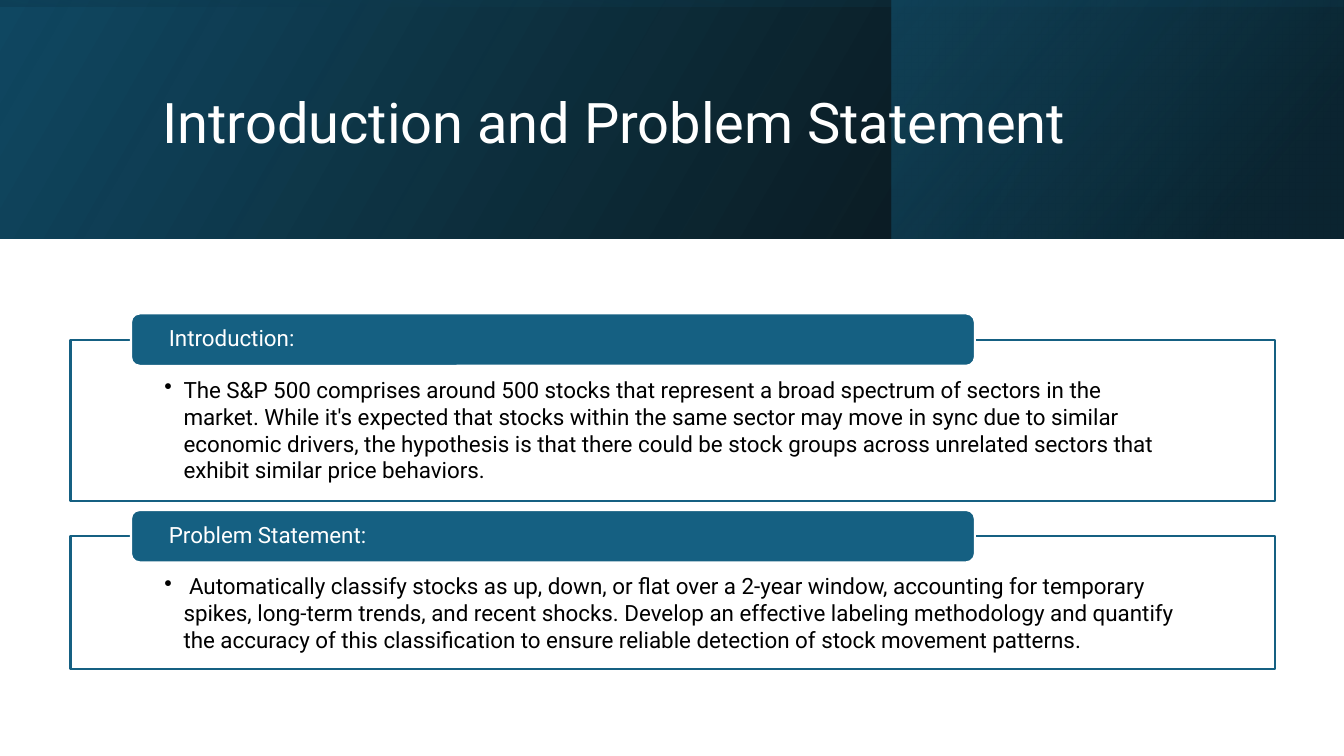
from pptx import Presentation
from pptx.dml.color import RGBColor
from pptx.enum.shapes import MSO_SHAPE as Preset
from pptx.enum.text import MSO_ANCHOR as Anchor, PP_ALIGN as Align
from pptx.oxml.ns import qn
from pptx.oxml.xmlchemy import OxmlElement
from pptx.util import Inches, Pt

BLUE, WHITE, BLACK = "156082", "FFFFFF", "000000"


def color(hex_code):
    return RGBColor.from_string(hex_code)


def set_opacity(shape, percents):
    """Give each fill colour of the shape, in order, an opacity in percent."""
    for srgb, percent in zip(shape._element.spPr.iter(qn("a:srgbClr")), percents):
        alpha = OxmlElement("a:alpha")
        alpha.set("val", str(percent * 1000))
        srgb.append(alpha)


class SlideBuilder:
    """Draws on one slide; every length is a percentage of its width or height."""

    font = "Roboto"
    title_size, body_size = 40, 16

    def __init__(self, deck):
        self.deck = deck
        self.slide = deck.slides.add_slide(deck.slide_layouts[5])

    def across(self, percent):
        return round(self.deck.slide_width * percent / 100)

    def down(self, percent):
        return round(self.deck.slide_height * percent / 100)

    def area(self, left, top, width, height):
        return self.across(left), self.down(top), self.across(width), self.down(height)

    def shape(self, preset, area):
        shape = self.slide.shapes.add_shape(preset, *area)
        shape.shadow.inherit = False
        return shape

    def set_text(self, frame, text, size, ink, anchor, line_spacing=None):
        frame.text = text
        frame.word_wrap = True
        frame.vertical_anchor = anchor
        paragraph = frame.paragraphs[0]
        paragraph.alignment = Align.LEFT
        paragraph.line_spacing = line_spacing
        for run in paragraph.runs:
            run.font.name = self.font
            run.font.size = Pt(size)
            run.font.color.rgb = color(ink)
        return paragraph

    def band(self, area, stops, angle, turned=False):
        """Draw a mirrored gradient band; stops are (position, colour, opacity)."""
        left, top, width, height = area
        if turned:
            shift = (width - height) // 2
            area = left + shift, top - shift, height, width
        band = self.shape(Preset.RECTANGLE, area)
        band.rotation = 270 if turned else 0
        band._element.spPr.xfrm.set("flipH", "1")
        band.line.fill.background()
        band.fill.gradient()
        band.fill.gradient_angle = 360 - angle
        for stop, (position, tint, _) in zip(band.fill.gradient_stops, stops):
            stop.position = position / 100
            stop.color.rgb = color(tint)
        set_opacity(band, [opacity for _, _, opacity in stops])

    def title(self, text, area):
        title = self.slide.shapes.title
        title.left, title.top, title.width, title.height = area
        self.set_text(title.text_frame, text, self.title_size, WHITE, Anchor.MIDDLE, 0.9)
        self.slide.shapes._spTree.append(title._element)

    def panel(self, preset, area, fill, line):
        panel = self.shape(preset, area)
        panel.fill.solid()
        panel.fill.fore_color.rgb = color(fill)
        panel.line.color.rgb = color(line)
        panel.line.width = Pt(1.5)
        return panel

    def card(self, area, text):
        card = self.panel(Preset.RECTANGLE, area, WHITE, BLUE)
        set_opacity(card, [90])
        frame = card.text_frame
        frame.margin_left = frame.margin_right = self.across(6.98)
        frame.margin_top, frame.margin_bottom = self.down(4.8), self.down(1.6)
        paragraph = self.set_text(frame, text, self.body_size, BLACK, Anchor.TOP)
        paragraph.level = 1
        properties = paragraph._p.get_or_add_pPr()
        properties.set("marL", str(Inches(0.19)))
        properties.set("indent", str(-Inches(0.19)))
        bullet = OxmlElement("a:buChar")
        bullet.set("char", "•")
        properties.append(bullet)

    def heading(self, area, text):
        heading = self.panel(Preset.ROUNDED_RECTANGLE, area, BLUE, WHITE)
        frame = heading.text_frame
        frame.margin_left = frame.margin_right = self.across(2.63)
        frame.margin_top = frame.margin_bottom = 0
        self.set_text(frame, text, self.body_size, WHITE, Anchor.MIDDLE, 0.9)


SECTIONS = [
    ("Introduction:", 44.93, 21.33,
     "The S&P 500 comprises around 500 stocks that represent a broad spectrum of "
     "sectors in the market. While it's expected that stocks within the same sector "
     "may move in sync due to similar economic drivers, the hypothesis is that there "
     "could be stock groups across unrelated sectors that exhibit similar price "
     "behaviors."),
    ("Problem Statement:", 70.93, 17.6,
     " Automatically classify stocks as up, down, or flat over a 2-year window, "
     "accounting for temporary spikes, long-term trends, and recent shocks. Develop "
     "an effective labeling methodology and quantify the accuracy of this "
     "classification to ensure reliable detection of stock movement patterns."),
]
BAND_HEIGHT = 31.6
HEADING_HEIGHT = 6.93


def main():
    deck = Presentation()
    deck.slide_width, deck.slide_height = Inches(13.33), Inches(7.5)
    page = SlideBuilder(deck)

    full_band = page.area(0, 0, 100, BAND_HEIGHT)
    right_band = page.area(66.32, 0, 33.61, BAND_HEIGHT)
    page.band(full_band, [(0, BLACK, 96), (100, "104862", 100)], 330)
    page.band(right_band, [(19, "0B3041", 68), (100, BLUE, 48)], 320)
    page.band(full_band, [(23, "104862", 16), (99, BLACK, 45)], 350, turned=True)
    page.title("Introduction and Problem Statement", page.area(11.33, 5.07, 79.74, 22.93))

    for name, top, height, text in SECTIONS:
        page.card(page.area(5.25, top, 89.65, height), text)
        heading_top = top - HEADING_HEIGHT / 2
        page.heading(page.area(9.75, heading_top, 62.79, HEADING_HEIGHT), name)

    deck.save("out.pptx")


if __name__ == "__main__":
    main()
